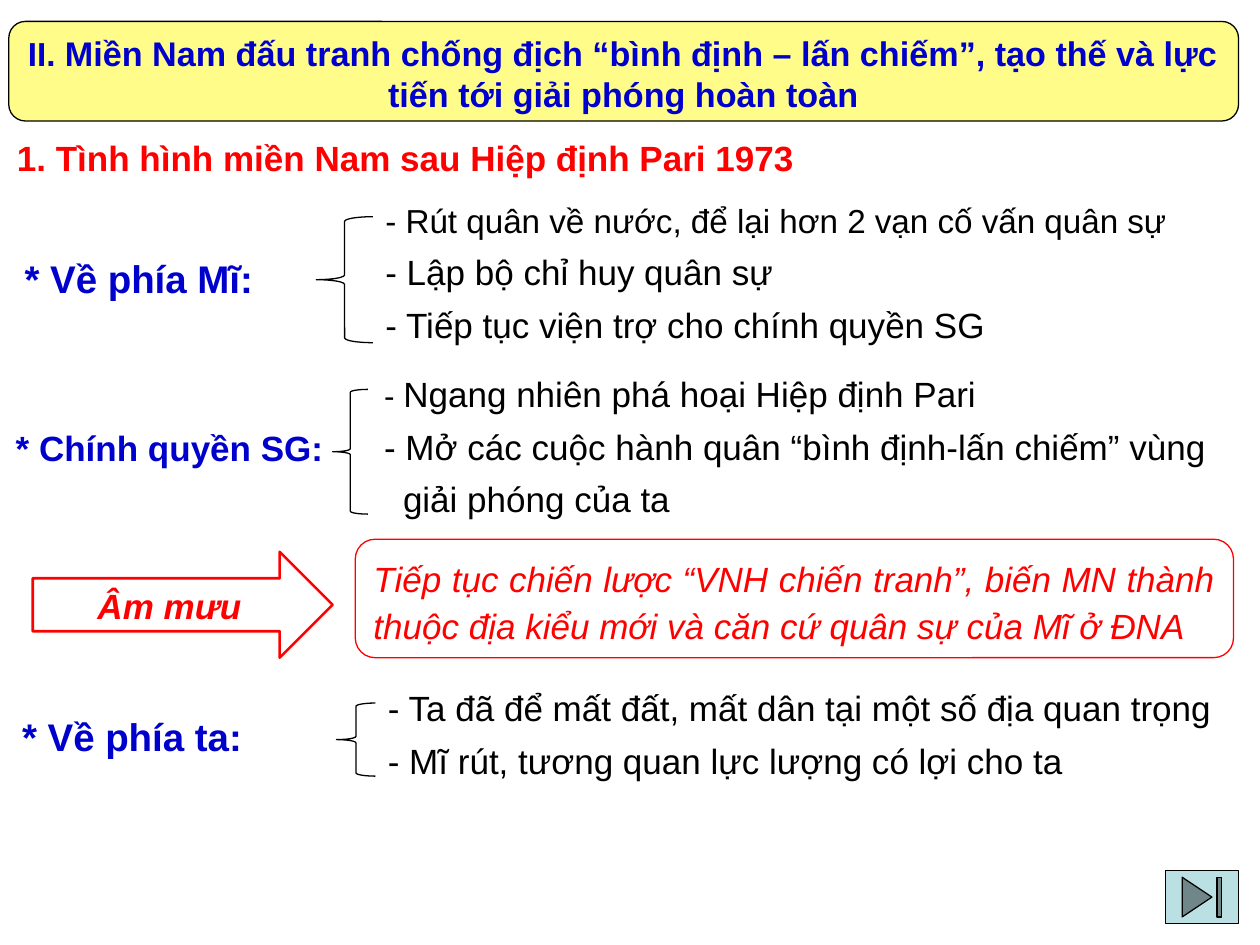
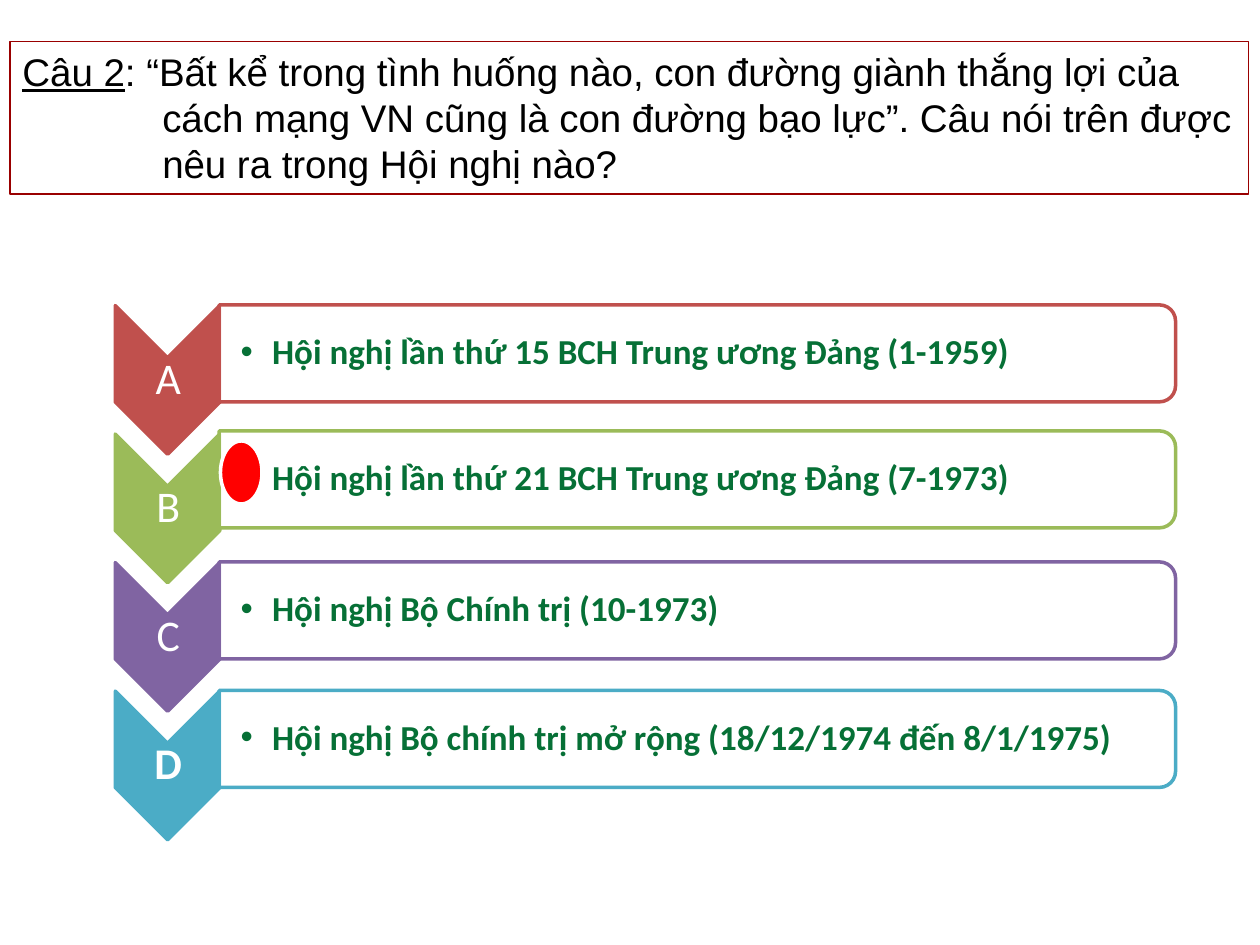
"""Builds two history lesson slides: the South after the Paris accord, and a quiz question."""
from lxml.etree import SubElement
from pptx import Presentation
from pptx.dml.color import RGBColor
from pptx.enum.shapes import MSO_SHAPE as Kind
from pptx.enum.text import MSO_ANCHOR as Anchor, PP_ALIGN as Align
from pptx.oxml.ns import qn
from pptx.util import Inches, Pt

BLACK, WHITE, RED, BLUE, GREEN = "000000", "FFFFFF", "FF0000", "0000CC", "067036"

deck = Presentation()
deck.slide_width, deck.slide_height = Inches(10), Inches(7.5)
column, row = deck.slide_width // 100, deck.slide_height // 75
blank = deck.slide_layouts[6]


def add_box(page, kind, left, top, width, height, fill=None, line=None, weight=0.75):
    frame = [round(left * column), round(top * row), round(width * column), round(height * row)]
    if kind is None:
        return page.shapes.add_textbox(*frame)
    box = page.shapes.add_shape(kind, *frame)
    box.shadow.inherit = False
    for ink, colour in ((box.fill, fill), (box.line.fill, line)):
        if colour:
            ink.solid()
            ink.fore_color.rgb = RGBColor.from_string(colour)
        else:
            ink.background()
    if line:
        box.line.width = Pt(weight)
    return box


def write(box, lines, size, colour, bold=False, italic=False, align=Align.LEFT,
          font="Arial", anchor=Anchor.TOP, before=0, spacing=1.0):
    frame = box.text_frame
    frame.word_wrap = True
    frame.vertical_anchor = anchor
    for index, line in enumerate(lines):
        para = frame.add_paragraph() if index else frame.paragraphs[0]
        para.alignment, para.line_spacing, para.space_before = align, spacing, Pt(before)
        for text in line.split("|"):
            span = para.add_run()
            span.text = text
            span.font.name, span.font.size = font, Pt(size)
            span.font.bold, span.font.italic = bold, italic
            span.font.color.rgb = RGBColor.from_string(colour)
    return frame.paragraphs


page = deck.slides.add_slide(blank)
banner = add_box(page, Kind.ROUNDED_RECTANGLE, 0.7, 1.7, 97.6, 7.9, "FFFC89", BLACK)
title = write(banner, ["II. |Miền Nam đấu tranh chống địch “bình định – lấn chiếm”, "
                       "tạo thế và lực tiến tới giải phóng hoàn toàn"],
              19.5, BLUE, bold=True, align=Align.CENTER)
title[0].runs[0].font.size = Pt(19)

headings = [
    ("1. Tình hình miền Nam sau Hiệp định Pari 1973", 0.1, 10.1, 67.3, 20, RED),
    ("* Về phía Mĩ:", 0.7, 19.5, 21.3, 22, BLUE),
    ("* Chính quyền SG:", 0, 33.1, 28, 20, BLUE),
    ("* Về phía ta:", 0.5, 55.8, 21, 22, BLUE),
]
for text, left, top, width, size, colour in headings:
    heading = add_box(page, Kind.ROUNDED_RECTANGLE, left, top, width, 5.5)
    write(heading, [text], size, colour, bold=True)

point_groups = [
    (29.6, 15.4, 67.2, 12.4, ["- Rút quân về nước, để lại hơn 2 vạn cố vấn quân sự",
                              "- Lập bộ chỉ huy quân sự",
                              "- Tiếp tục viện trợ cho chính quyền SG"]),
    (29.5, 29.1, 70.5, 11.7, ["- |Ngang nhiên phá hoại Hiệp định Pari",
                              "- Mở các cuộc hành quân “bình định-lấn chiếm” vùng",
                              "giải phóng của ta"]),
    (29.8, 54, 70.2, 9, ["- Ta đã để mất đất, mất dân tại một số địa quan trọng",
                         "- Mĩ rút, tương quan lực lượng có lợi cho ta"]),
]
us_points, saigon_points, our_points = [
    write(add_box(page, None, *frame), lines, 20, BLACK, before=6)
    for *frame, lines in point_groups]
us_points[0].runs[0].font.size = Pt(19)
saigon_points[0].runs[0].font.size = Pt(18)
saigon_points[2]._p.get_or_add_pPr().set("marL", str(round(1.5 * column)))

for brace in ((25.1, 17.2, 4.5, 10), (26.4, 30.9, 2.8, 9.9), (26.7, 55.8, 3.1, 5.8)):
    add_box(page, Kind.LEFT_BRACE, *brace, line=BLACK)

arrow = add_box(page, Kind.RIGHT_ARROW, 2.6, 43.8, 23.8, 8.4, line=RED, weight=1.5)
write(arrow, ["Âm mưu"], 20, RED, bold=True, italic=True, align=Align.CENTER)
scheme = add_box(page, Kind.ROUNDED_RECTANGLE, 28.2, 42.8, 69.7, 9.4, line=RED)
write(scheme, ["Tiếp tục chiến lược “VNH chiến tranh”, biến MN thành thuộc địa kiểu mới "
               "và căn cứ quân sự của Mĩ ở ĐNA"],
      20, RED, italic=True, align=Align.JUSTIFY, spacing=1.14)
add_box(page, Kind.ACTION_BUTTON_END, 92.5, 69.1, 5.8, 4.2, "BBE0E3", BLACK)

page = deck.slides.add_slide(blank)
question = add_box(page, Kind.RECTANGLE, 0.8, 3.3, 98.3, 12.1, WHITE, "990000")
question_lines = write(question, [
    "Câu 2|: “Bất kể trong tình huống nào, con đường giành thắng lợi của",
    "cách mạng VN cũng là con đường bạo lực”. Câu nói trên được",
    "nêu ra trong Hội nghị nào?"], 22, BLACK)
question_lines[0].runs[0].font.underline = True
for para in question_lines[1:]:
    para._p.get_or_add_pPr().set("marL", str(round(11.1 * column)))

answers = [
    ("A", "Hội nghị lần thứ 15 BCH Trung ương Đảng (1-1959)", "C0504D", 24.2),
    ("B", "Hội nghị lần thứ 21 BCH Trung ương Đảng (7-1973)", "9BBB59", 34.2),
    ("C", "Hội nghị Bộ Chính trị (10-1973)", "8064A2", 44.6),
    ("D", "Hội nghị Bộ chính trị mở rộng (18/12/1974 đến 8/1/1975)", "4BACC6", 54.8),
]
for index, (letter, answer, colour, bar_top) in enumerate(answers):
    chevron_top = 26 + 10.2 * index
    chevron = add_box(page, Kind.CHEVRON, 7.4, chevron_top, 11.8, 8.3, colour, colour, 2)
    chevron.rotation = 90
    label = add_box(page, None, 9.2, chevron_top + 2.35, 8.3, 3.6)
    bar = add_box(page, Kind.ROUND_2_SAME_RECTANGLE, 51.5, bar_top - 34.1, 7.7, 75.9,
                  WHITE, colour, 2)
    bar.rotation = 90
    bar_colour = bar._element.spPr.find(qn("a:solidFill")).find(qn("a:srgbClr"))
    SubElement(bar_colour, qn("a:alpha")).set("val", "90000")
    caption = add_box(page, None, 17.5, bar_top + 0.4, 75.5, 6.9)
    for box, inset in ((label, 0.2), (caption, 0.1)):
        frame = box.text_frame
        frame.margin_left = frame.margin_right = round(inset * column)
        frame.margin_top = frame.margin_bottom = round(inset * row)
    caption.text_frame.margin_left = round(1.6 * column)
    write(label, [letter], 25, WHITE, bold=letter == "D", align=Align.CENTER,
          font="Calibri", anchor=Anchor.MIDDLE, spacing=0.9)
    para = write(caption, [answer], 20, GREEN, bold=True, font="Calibri",
                 anchor=Anchor.MIDDLE, spacing=0.9)[0]
    properties = para._p.get_or_add_pPr()
    properties.set("marL", str(round(2.5 * column)))
    properties.set("indent", str(round(-2.5 * column)))
    SubElement(properties, qn("a:buFont")).set("typeface", "Arial")
    SubElement(properties, qn("a:buChar")).set("char", "•")

add_box(page, Kind.OVAL, 17.5, 35, 3.3, 5, RED, WHITE, 2)

deck.save("out.pptx")
